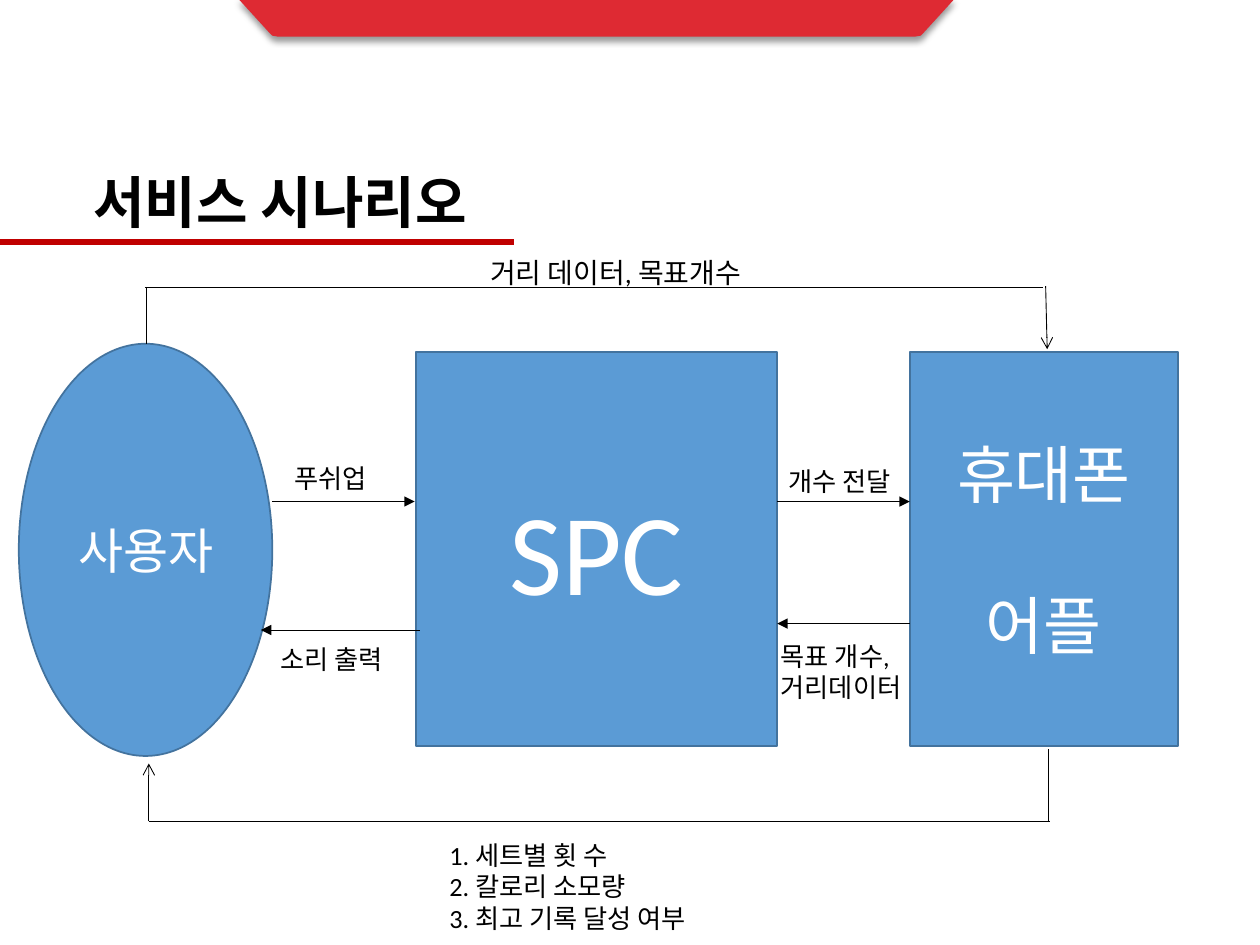
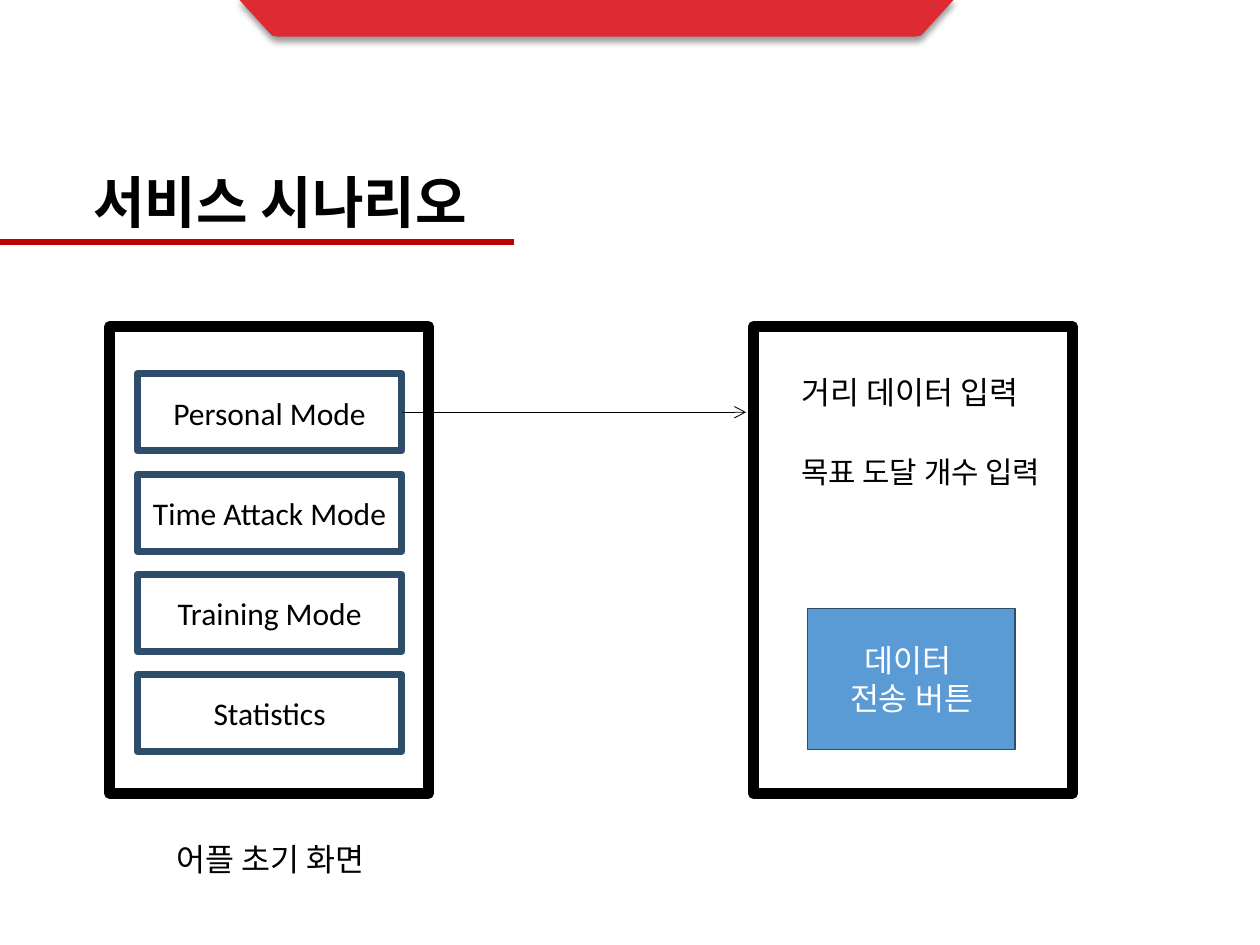
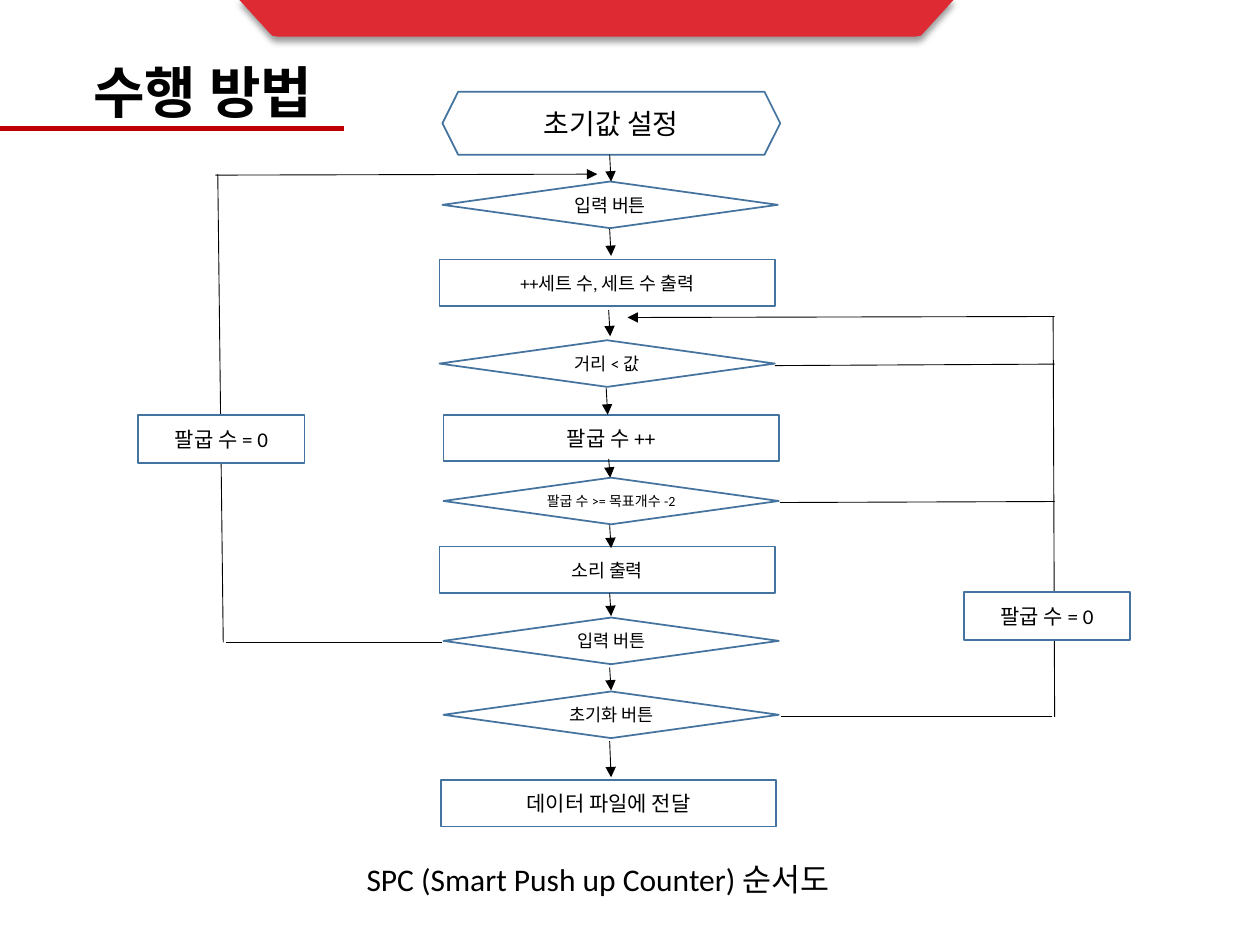
from dataclasses import dataclass
from typing import Iterable

from pptx import Presentation
from pptx.dml.color import RGBColor
from pptx.enum.shapes import MSO_CONNECTOR, MSO_SHAPE
from pptx.enum.text import MSO_ANCHOR, MSO_AUTO_SIZE, PP_ALIGN
from pptx.oxml.ns import qn
from pptx.oxml.xmlchemy import OxmlElement
from pptx.util import Cm, Pt

FONT = "Calibri"
COLORS = {
    "black": "000000",
    "white": "FFFFFF",
    "band": "DE2A33",
    "rule": "C00000",
    "blue": "5B9BD5",
    "edge": "43739E",
    "navy": "2D4D6A",
}
RECT, OVAL = MSO_SHAPE.RECTANGLE, MSO_SHAPE.OVAL
PROCESS, DIAMOND = MSO_SHAPE.FLOWCHART_PROCESS, MSO_SHAPE.DIAMOND


@dataclass
class Node:
    """A shape with centred text; lengths in centimetres."""
    x: float
    y: float
    w: float
    h: float
    text: str = ""
    size: float = 18
    kind: MSO_SHAPE = RECT
    fill: str = "white"
    edge: str = "edge"
    edge_pt: float = 1
    color: str = "black"
    gap: float = 0


@dataclass
class Link:
    """A straight line, with an arrowhead at its end if named."""
    x1: float
    y1: float
    x2: float
    y2: float
    head: str = ""
    color: str = "black"
    width: float = 0.5


@dataclass
class Label:
    """Free text; lengths in centimetres."""
    x: float
    y: float
    w: float
    h: float
    text: str
    size: float = 15


def rgb(name: str) -> RGBColor:
    """Look up a named colour."""
    return RGBColor.from_string(COLORS[name])


def add_xml(parent, tag: str, **attrs: str):
    """Append a child element with attributes."""
    child = OxmlElement(tag)
    for key, value in attrs.items():
        child.set(key, value)
    parent.append(child)
    return child


def write(tf, text: str, *, size: float, color: str = "black", bold: bool = False,
          align=PP_ALIGN.LEFT, anchor=MSO_ANCHOR.TOP, wrap: bool = True, gap: float = 0) -> None:
    """Fill a text frame, one paragraph per line of text."""
    tf.auto_size = MSO_AUTO_SIZE.NONE
    tf.word_wrap = wrap
    tf.vertical_anchor = anchor
    for i, line in enumerate(text.split("\n")):
        p = tf.add_paragraph() if i else tf.paragraphs[0]
        p.alignment = align
        p.space_before = Pt(gap if i else 0)
        r = p.add_run()
        r.text = line
        r.font.name, r.font.size, r.font.bold = FONT, Pt(size), bold
        r.font.color.rgb = rgb(color)


def add_node(s, n: Node) -> None:
    """Draw a node."""
    sp = s.shapes.add_shape(n.kind, Cm(n.x), Cm(n.y), Cm(n.w), Cm(n.h))
    sp.shadow.inherit = False
    sp.fill.solid()
    sp.fill.fore_color.rgb = rgb(n.fill)
    sp.line.color.rgb = rgb(n.edge)
    sp.line.width = Pt(n.edge_pt)
    if n.text:
        write(sp.text_frame, n.text, size=n.size, color=n.color, align=PP_ALIGN.CENTER,
              anchor=MSO_ANCHOR.MIDDLE, wrap=False, gap=n.gap)


def add_link(s, k: Link) -> None:
    """Draw a link."""
    sp = s.shapes.add_connector(MSO_CONNECTOR.STRAIGHT, Cm(k.x1), Cm(k.y1), Cm(k.x2), Cm(k.y2))
    sp.line.color.rgb = rgb(k.color)
    sp.line.width = Pt(k.width)
    spPr = sp.element.spPr
    if k.head:
        add_xml(spPr.find(qn("a:ln")), "a:tailEnd", type=k.head)
    add_xml(spPr, "a:effectLst")


def add_label(s, t: Label) -> None:
    """Draw a label."""
    sp = s.shapes.add_textbox(Cm(t.x), Cm(t.y), Cm(t.w), Cm(t.h))
    write(sp.text_frame, t.text, size=t.size)


def draw(s, items: Iterable) -> None:
    """Draw items from back to front."""
    painters = {Node: add_node, Link: add_link, Label: add_label}
    for item in items:
        painters[type(item)](s, item)


def add_band(s) -> None:
    """Draw the symmetric top band with its soft shadow."""
    right = [(18.44, 0.74), (18.56, 0.72), (18.62, 0.66), (19.25, -0.03)]
    left = [(24.05 - x, y) for x, y in reversed(right)]
    start, *rest = [(Cm(x), Cm(y)) for x, y in right + left]
    builder = s.shapes.build_freeform(*start, scale=1.0)
    builder.add_line_segments(rest, close=True)
    sp = builder.convert_to_shape()
    sp.fill.solid()
    sp.fill.fore_color.rgb = rgb("band")
    sp.line.fill.background()
    sp.shadow.inherit = False
    effects = sp.element.spPr.find(qn("a:effectLst"))
    shadow = add_xml(effects, "a:outerShdw", blurRad=str(Pt(4)), dist=str(Pt(3)),
                     dir="5400000", algn="t", rotWithShape="0")
    add_xml(add_xml(shadow, "a:srgbClr", val=COLORS["black"]), "a:alpha", val="40000")


def add_page(prs, title: str, title_y: float, rule_y: float, rule_w: float):
    """Add a slide with band, underline and title."""
    s = prs.slides.add_slide(prs.slide_layouts[5])
    add_band(s)
    add_link(s, Link(0, rule_y, rule_w, rule_y, color="rule", width=3))
    sp = s.shapes.title
    sp.left, sp.top, sp.width, sp.height = Cm(1.63), Cm(title_y), Cm(rule_w - 1.6), Cm(1.63)
    write(sp.text_frame, title, size=32, bold=True)
    return s


def scenario_flow(prs) -> None:
    """Build the exchange between user, counter and app."""
    s = add_page(prs, "서비스 시나리오", 3.25, 4.88, 10.36)
    blue = {"fill": "blue", "color": "white"}
    draw(s, [
        Node(8.38, 7.09, 7.29, 7.95, "SPC", 66, **blue),
        Node(0.38, 6.93, 5.11, 8.31, "사용자", 28, OVAL, **blue),
        Node(18.34, 7.09, 5.41, 7.95, "휴대폰\n어플", 36, gap=43, **blue),
        Link(15.67, 10.11, 18.34, 10.11, "triangle"),
        Link(18.34, 12.57, 15.67, 12.57, "triangle"),
        Link(5.49, 10.11, 8.36, 10.11, "triangle"),
        Link(8.46, 12.7, 5.26, 12.7, "triangle"),
        Link(3, 16.56, 3, 15.39, "arrow"),
        Link(3, 16.56, 21.16, 16.56),
        Link(21.13, 16.56, 21.13, 15.09),
        Link(2.95, 6.93, 2.95, 5.79),
        Link(2.92, 5.79, 21.03, 5.79),
        Link(21.08, 5.77, 21.11, 7.04, "arrow"),
        Label(15.65, 9.25, 3.58, 0.89, "개수 전달"),
        Label(15.49, 12.78, 3.28, 1.52, "목표 개수, 거리데이터"),
        Label(5.69, 9.19, 4.24, 0.86, "푸쉬업"),
        Label(5.41, 12.85, 3.43, 0.86, "소리 출력"),
        Label(8.81, 16.79, 7.77, 2.13, "1. 세트별 횟 수\n2. 칼로리 소모량\n3. 최고 기록 달성 여부"),
        Label(9.63, 5.03, 6.12, 0.94, "거리 데이터, 목표개수", 16),
    ])


def scenario_screens(prs) -> None:
    """Build the two app screens."""
    s = add_page(prs, "서비스 시나리오", 3.25, 4.88, 10.36)
    draw(s, [Node(x, 6.58, 6.43, 9.42, edge="black", edge_pt=6) for x in (2.21, 15.19)])
    modes = ["Personal Mode", "Time Attack Mode", "Training Mode", "Statistics"]
    draw(s, [Node(2.77, 7.54 + 2.02 * i, 5.33, 1.55, mode, edge="navy", edge_pt=4)
             for i, mode in enumerate(modes)])
    draw(s, [
        Link(8.1, 8.31, 15.04, 8.31, "arrow"),
        Label(3.3, 16.81, 8.79, 1.02, "어플 초기 화면", 18),
        Label(15.9, 7.39, 5.59, 1.02, "거리 데이터 입력", 18),
        Label(15.9, 9.02, 6.38, 0.97, "목표 도달 개수 입력", 17),
        Node(16.28, 12.27, 4.19, 2.84, "데이터 \n전송 버튼", fill="blue", edge="navy", color="white"),
    ])


def flowchart(prs) -> None:
    """Build the counter flowchart."""
    s = add_page(prs, "수행 방법", 1.04, 2.59, 6.93)
    steps = [
        (8.92, 3.66, "입력 버튼", 10.5, DIAMOND),
        (8.86, 5.23, "++세트 수, 세트 수 출력", 10.5, PROCESS),
        (8.86, 6.86, "거리 < 값", 10, DIAMOND),
        (8.94, 8.36, "팔굽 수 ++", 12, PROCESS),
        (8.94, 9.63, "팔굽 수 >= 목표개수 -2", 8, DIAMOND),
        (8.86, 11.02, "소리 출력", 10.5, PROCESS),
        (8.94, 12.45, "입력 버튼", 10, DIAMOND),
        (8.94, 13.94, "초기화 버튼", 10, DIAMOND),
        (8.89, 15.72, "데이터 파일에 전달", 12, PROCESS),
    ]
    arrows = [
        (12.29, 3.12, 3.66), (12.29, 4.62, 5.16), (12.27, 6.25, 6.78),
        (12.22, 7.82, 8.36), (12.27, 9.25, 9.63), (12.29, 10.59, 11.05),
        (12.29, 11.96, 12.42), (12.29, 13.46, 13.92), (12.29, 14.94, 15.67),
    ]
    draw(s, [Node(8.92, 1.85, 6.81, 1.27, "초기값 설정", 16, MSO_SHAPE.HEXAGON)])
    draw(s, [Node(x, y, 6.76, 0.94, text, size, kind) for x, y, text, size, kind in steps])
    draw(s, [Link(x, top, x + 0.03, end, "triangle") for x, top, end in arrows])
    draw(s, [
        Link(4.34, 3.53, 12.04, 3.51, "triangle"),
        Link(4.55, 12.95, 8.92, 12.95),
        Link(4.39, 3.51, 4.5, 12.95),
        Link(15.75, 14.45, 21.21, 14.45),
        Link(15.72, 10.13, 21.26, 10.11),
        Link(15.62, 7.37, 21.26, 7.34),
        Link(21.23, 6.38, 21.26, 14.45),
        Link(21.26, 6.38, 12.65, 6.4, "triangle"),
    ])
    draw(s, [Node(x, y, 3.35, 0.97, "팔굽 수 = 0", 12, PROCESS)
             for x, y in ((2.79, 8.36), (19.43, 11.94))])
    draw(s, [Label(7.14, 17.22, 11.51, 1.02, "SPC (Smart Push up Counter) 순서도", 18)])


def main() -> None:
    """Build and save the deck."""
    prs = Presentation()
    prs.slide_width, prs.slide_height = Cm(25.4), Cm(19.05)
    for build in (scenario_flow, scenario_screens, flowchart):
        build(prs)
    prs.save("out.pptx")


if __name__ == "__main__":
    main()
